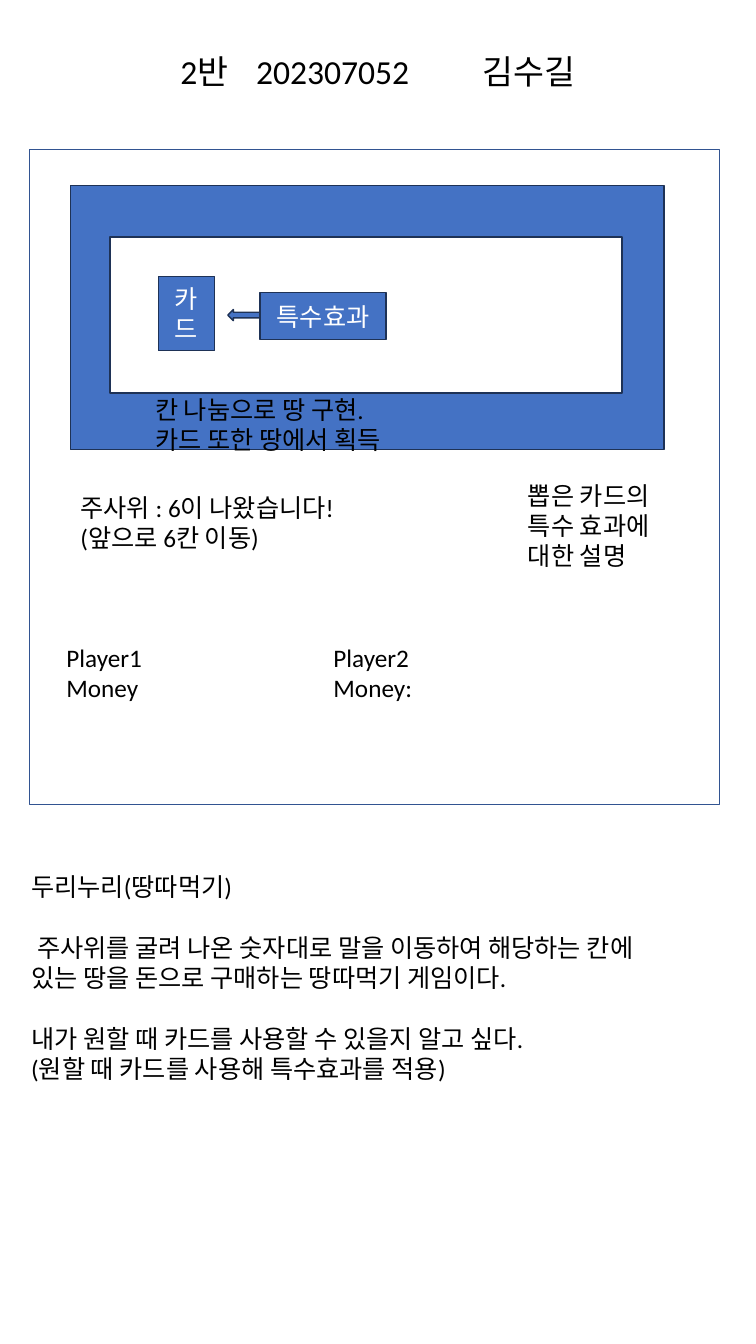
from lxml import etree
from pptx import Presentation
from pptx import util as u
from pptx.dml.color import RGBColor
from pptx.enum import shapes, text
from pptx.oxml.ns import qn

BLUE = RGBColor(0x44, 0x72, 0xC4)
FRAME_BLUE = RGBColor(0x32, 0x54, 0x91)
NAVY = RGBColor(0x1E, 0x32, 0x56)
WHITE = RGBColor(0xFF, 0xFF, 0xFF)
BLACK = RGBColor(0, 0, 0)
FONT = "Calibri"

# Areas are left, top, width, height in hundredths of the slide's width.
HEADING = "2반\t202307052\t김수길"
HEADING_AREA = (7.5, 4.67, 85, 8.13)
HEADING_TABS = (10, 40)

DESCRIPTION_AREA = (2.8, 114.53, 89.6, 41.73)
DESCRIPTION = [
    ["두리누리(땅따먹기)"],
    ["주사위를 굴려 나온 숫자대로 말을 이동하여 해당하는 칸에",
     "있는 땅을 돈으로 구매하는 땅따먹기 게임이다."],
    ["내가 원할 때 카드를 사용할 수 있을지 알고 싶다.",
     "(원할 때 카드를 사용해 특수효과를 적용)"],
]
INDENTED_LINE = DESCRIPTION[1][0]

RECT = shapes.MSO_SHAPE.RECTANGLE
ARROW = shapes.MSO_SHAPE.RIGHT_ARROW
BOARD_PARTS = [  # preset, area, fill, outline, rotation, label
    (RECT, (3.87, 19.73, 91.33, 86.67), WHITE, FRAME_BLUE, 0, ""),
    (RECT, (9.33, 24.53, 78.53, 34.93), BLUE, NAVY, 0, ""),
    (RECT, (14.53, 31.33, 67.73, 20.67), WHITE, NAVY, 0, ""),
    (RECT, (20.93, 36.53, 7.47, 9.87), BLUE, NAVY, 0, "카드"),
    (ARROW, (30.13, 40.93, 4.27, 1.47), BLUE, NAVY, 180, ""),
    (RECT, (34.4, 38.67, 16.67, 6.27), BLUE, NAVY, 0, "특수효과"),
]

PLAYERS = [["Player1", "Money"], ["Player2", "Money:"]]
PLAYER_AREA = (7.47, 84.27, 29.6, 13.47)
PLAYER_STEP = 35.33
CAPTIONS = [
    ((68.53, 62.8, 22.27, 13.47), ["뽑은 카드의 특수 효과에 대한 설명"]),
    ((9.33, 64.4, 54.93, 9.47), ["주사위 : 6이 나왔습니다!", "(앞으로 6칸 이동)"]),
    ((19.2, 51.47, 40.67, 9.47), ["칸 나눔으로 땅 구현.", "카드 또한 땅에서 획득"]),
]

prs = Presentation()
prs.slide_width, prs.slide_height = u.Inches(7.5), u.Inches(13.33)
slide = prs.slides.add_slide(prs.slide_layouts[0])


def scaled(*shares):
    return [round(prs.slide_width * share / 100) for share in shares]


def place(shape, area):
    shape.left, shape.top, shape.width, shape.height = scaled(*area)


def write(frame, lines, color=BLACK, size=18, align=text.PP_ALIGN.LEFT,
          anchor=text.MSO_ANCHOR.TOP):
    frame.word_wrap = True
    frame.auto_size = text.MSO_AUTO_SIZE.NONE
    frame.vertical_anchor = anchor
    frame.text = "\n".join(lines)
    for paragraph in frame.paragraphs:
        paragraph.alignment = align
        paragraph.space_before = u.Pt(0)
        paragraph.font.name = FONT
        paragraph.font.size = u.Pt(size)
        paragraph.font.color.rgb = color


def add_heading():
    title = slide.shapes.title
    place(title, HEADING_AREA)
    write(title.text_frame, [HEADING], size=24, align=text.PP_ALIGN.CENTER,
          anchor=text.MSO_ANCHOR.BOTTOM)
    line = title.text_frame.paragraphs[0]
    line.line_spacing = 0.9
    tabs = etree.Element(qn("a:tabLst"))
    for position in scaled(*HEADING_TABS):
        etree.SubElement(tabs, qn("a:tab"), pos=str(position), algn="l")
    # The schema wants the tab list ahead of the default run properties.
    line.font._element.addprevious(tabs)


def add_description():
    body = slide.placeholders[1]
    place(body, DESCRIPTION_AREA)
    write(body.text_frame, [line for block in DESCRIPTION for line in block])
    block_starts = [block[0] for block in DESCRIPTION[1:]]
    for paragraph in body.text_frame.paragraphs:
        if paragraph.text in block_starts:
            paragraph.space_before = u.Pt(22)
        if paragraph.text == INDENTED_LINE:
            paragraph._p.get_or_add_pPr().set("indent", str(u.Inches(0.06)))


def add_board_part(preset, area, fill, outline, rotation, label):
    part = slide.shapes.add_shape(preset, *scaled(*area))
    part.shadow.inherit = False
    part.rotation = rotation
    part.fill.solid()
    part.fill.fore_color.rgb = fill
    part.line.color.rgb = outline
    part.line.width = u.Pt(1)
    if label:
        write(part.text_frame, [label], WHITE, align=text.PP_ALIGN.CENTER,
              anchor=text.MSO_ANCHOR.MIDDLE)


def add_caption(area, lines):
    write(slide.shapes.add_textbox(*scaled(*area)).text_frame, lines)


add_heading()
add_description()
for board_part in BOARD_PARTS:
    add_board_part(*board_part)
left, *rest = PLAYER_AREA
for number, player in enumerate(PLAYERS):
    add_caption((left + number * PLAYER_STEP, *rest), player)
for caption in CAPTIONS:
    add_caption(*caption)

prs.save("out.pptx")
